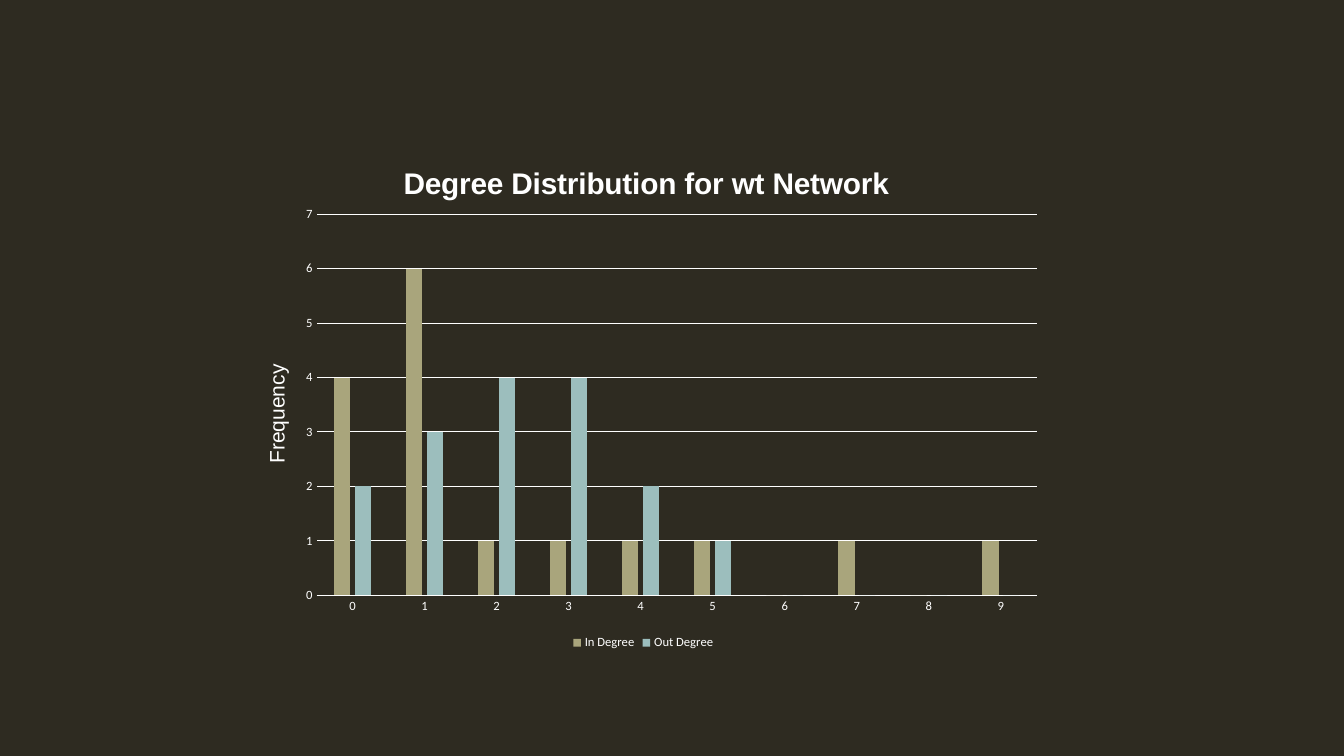
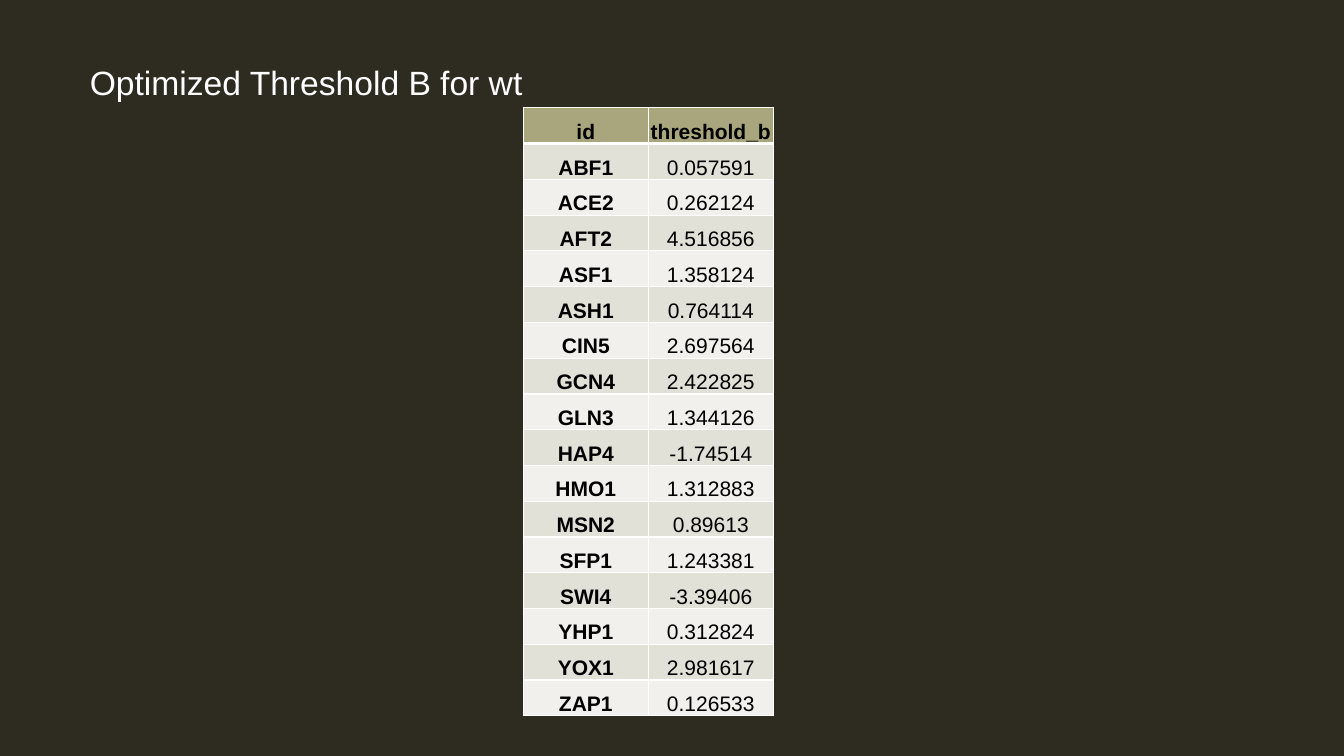
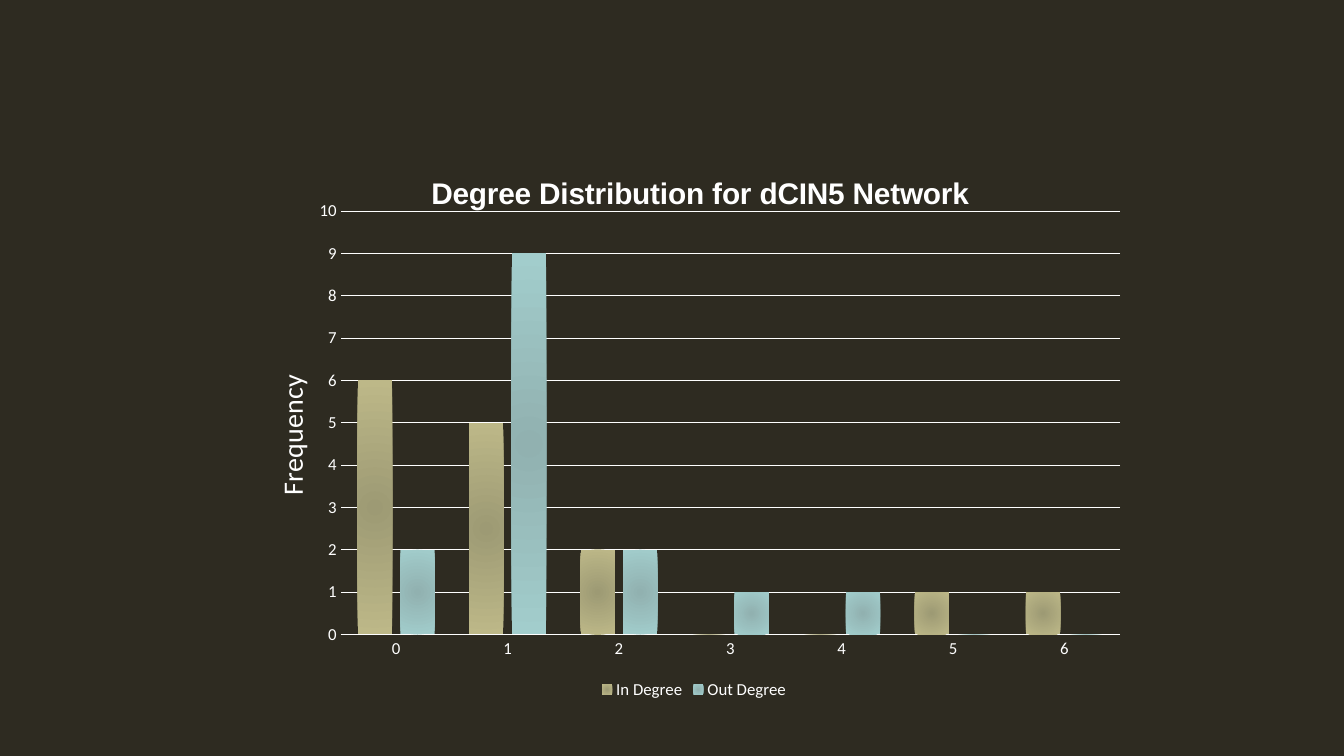
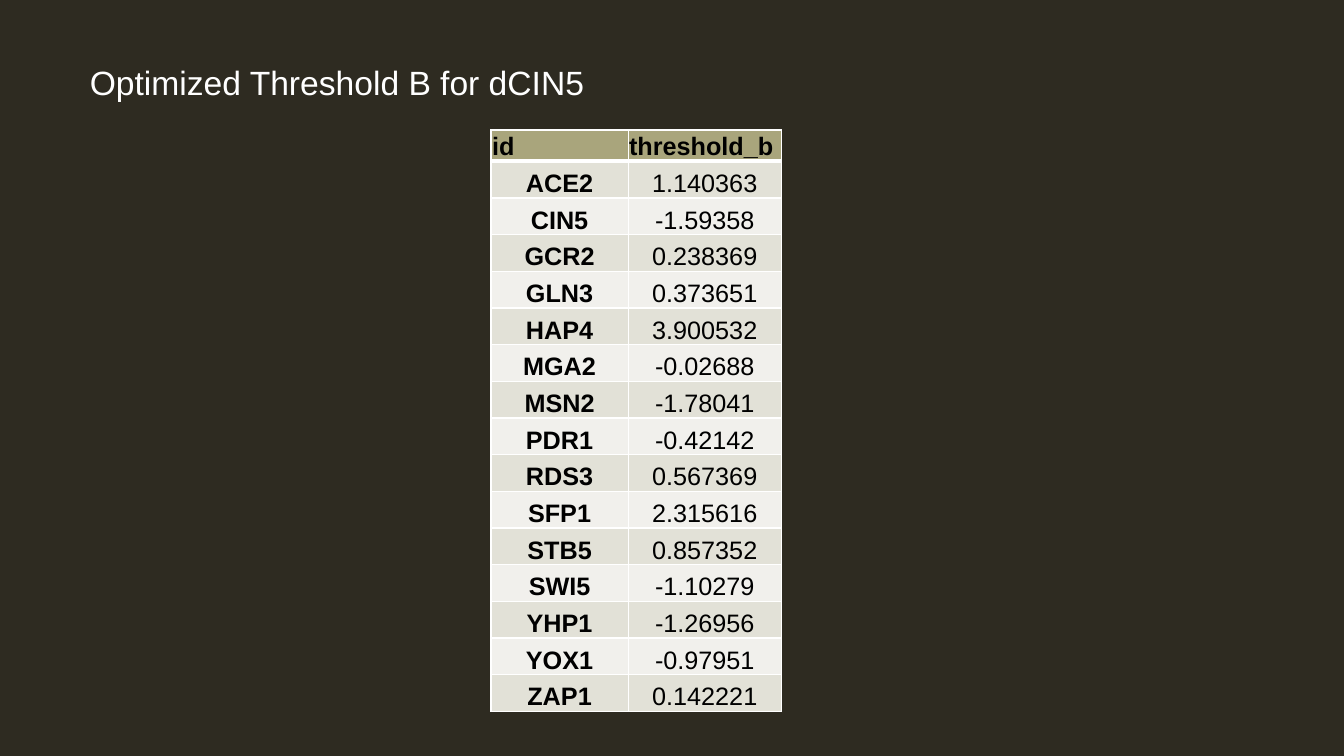
from pptx import Presentation
from pptx import util as u
from pptx.chart.data import CategoryChartData
from pptx.dml.color import RGBColor
from pptx.enum import chart as ch, text
from pptx.oxml import parse_xml
from pptx.oxml.ns import nsdecls, qn

# Shared look
W, H = 13.33, 7.5
DARK, WHITE, BLACK = "2E2B21", "FFFFFF", "000000"
OLIVE, TEAL = "A9A57C", "9CBEBD"
BANDS = ("E2E1D7", "F1F0EC")
TITLE_BOX = (0.79, 0.56, 10.88, 0.5)
CENTER = text.PP_ALIGN.CENTER

# Content: a colour pair runs from the middle of a bar to its edge
SLIDES = [
    dict(chart="Degree Distribution for wt Network", box=(2.33, 1.38, 8.1, 5.11),
         series={"In Degree": (4, 6, 1, 1, 1, 1, 0, 1, 0, 1),
                 "Out Degree": (2, 3, 4, 4, 2, 1, 0, 0, 0, 0)},
         colors=(OLIVE, TEAL), gap=219, overlap=-27, top=7, size=9, line=0.75,
         axis_size=15, axis_font="Arial", title_at=(0.2, 0.04),
         axis_at=(0.03, 0.43), plot=(0.1, 0.146, 0.882, 0.74)),
    dict(title="Optimized Threshold B for wt", at=(5.19, 1.07), cols=(1.24, 1.24),
         header_height=0.355, row_height=0.355, size=15, header_align=CENTER,
         rows=[("ABF1", "0.057591"), ("ACE2", "0.262124"), ("AFT2", "4.516856"),
               ("ASF1", "1.358124"), ("ASH1", "0.764114"), ("CIN5", "2.697564"),
               ("GCN4", "2.422825"), ("GLN3", "1.344126"), ("HAP4", "-1.74514"),
               ("HMO1", "1.312883"), ("MSN2", "0.89613"), ("SFP1", "1.243381"),
               ("SWI4", "-3.39406"), ("YHP1", "0.312824"), ("YOX1", "2.981617"),
               ("ZAP1", "0.126533")]),
    dict(chart="Degree Distribution for dCIN5 Network", box=(1.96, 1.46, 9.85, 5.52),
         series={"In Degree": (6, 5, 2, 0, 0, 1, 1),
                 "Out Degree": (2, 9, 2, 1, 1, 0, 0)},
         colors=(("9D9A74", "BDB888"), ("91B1B0", "A2CDCC")),
         gap=100, overlap=-24, top=10, size=12, line=1,
         axis_size=20, axis_font="Calibri", title_at=(0.23, 0.04),
         axis_at=(0.07, 0.4), plot=(0.144, 0.115, 0.785, 0.761)),
    dict(title="Optimized Threshold B for dCIN5", at=(4.87, 1.29), cols=(1.36, 1.52),
         header_height=0.31, row_height=0.364, size=18, header_align=text.PP_ALIGN.LEFT,
         rows=[("ACE2", "1.140363"), ("CIN5", "-1.59358"), ("GCR2", "0.238369"),
               ("GLN3", "0.373651"), ("HAP4", "3.900532"), ("MGA2", "-0.02688"),
               ("MSN2", "-1.78041"), ("PDR1", "-0.42142"), ("RDS3", "0.567369"),
               ("SFP1", "2.315616"), ("STB5", "0.857352"), ("SWI5", "-1.10279"),
               ("YHP1", "-1.26956"), ("YOX1", "-0.97951"), ("ZAP1", "0.142221")]),
]
HEADER = ("id", "threshold_b")


# Helpers
def rgb(code):
    return RGBColor.from_string(code)


def inches(values):
    return [u.Inches(v) for v in values]


def style(font, size, color=WHITE, name="Calibri", bold=False):
    font.size, font.name, font.bold = u.Pt(size), name, bold
    font.color.rgb = rgb(color)


def write(tf, words, align=text.PP_ALIGN.LEFT, **look):
    p = tf.paragraphs[0]
    p.alignment = align
    r = p.add_run()
    r.text = words
    style(r.font, **look)


def stroke(line, width):
    line.color.rgb = rgb(WHITE)
    line.width = u.Pt(width)


def place(el, values):
    """Set a chart part's left, top (and width, height) as shares of the chart."""
    layout = el.find(qn("c:layout"))
    if layout is None:
        layout = parse_xml(f"<c:layout {nsdecls('c')}/>")
        el.insert(0, layout)
    inner = '<c:layoutTarget val="inner"/>' if len(values) == 4 else ""
    modes = "".join(f'<c:{k}Mode val="edge"/>' for k in "xy")
    shares = "".join(f'<c:{k} val="{v}"/>' for k, v in zip("xywh", values))
    layout.append(parse_xml(
        f"<c:manualLayout {nsdecls('c')}>{inner}{modes}{shares}</c:manualLayout>"))


def radial_fill(fmt, colors):
    fmt.fill.background()
    stops = "".join(f'<a:gs pos="{pos}"><a:srgbClr val="{c}"/></a:gs>'
                    for pos, c in zip((0, 100000), colors))
    sides = " ".join(f'{k}="50000"' for k in "ltrb")
    grad = parse_xml(f"<a:gradFill {nsdecls('a')}><a:gsLst>{stops}</a:gsLst>"
                     f'<a:path path="circle"><a:fillToRect {sides}/></a:path></a:gradFill>')
    sp_pr = fmt._element if hasattr(fmt, "_element") else None
    if sp_pr.tag != qn("c:spPr"):
        sp_pr = sp_pr.find(qn("c:spPr"))
    sp_pr.replace(sp_pr.find(qn("a:noFill")), grad)


def borders(cell, bottom):
    tc_pr = cell._tc.get_or_add_tcPr()
    for i, side in enumerate("LRTB"):
        width = u.Pt(bottom if side == "B" else 1)
        tc_pr.insert(i, parse_xml(
            f'<a:ln{side} {nsdecls("a")} w="{width}"><a:solidFill>'
            f'<a:srgbClr val="{WHITE}"/></a:solidFill></a:ln{side}>'))


# Slide kinds
def chart_slide(s, d):
    data = CategoryChartData()
    data.categories = [str(i) for i in range(len(d["series"]["In Degree"]))]
    for name, values in d["series"].items():
        data.add_series(name, values)
    chart = s.shapes.add_chart(ch.XL_CHART_TYPE.COLUMN_CLUSTERED,
                               *inches(d["box"]), data).chart
    style(chart.font, 10)

    # Titles and plot area
    chart.has_title = True
    write(chart.chart_title.text_frame, d["chart"], CENTER,
          size=21.3, name="Arial", bold=True)
    place(chart.chart_title._element, d["title_at"])
    cat, val = chart.category_axis, chart.value_axis
    tf = val.axis_title.text_frame
    write(tf, "Frequency", CENTER, size=d["axis_size"], name=d["axis_font"])
    tf._txBody.bodyPr.set("rot", "-5400000")
    tf._txBody.bodyPr.set("vert", "horz")
    place(val.axis_title._element, d["axis_at"])
    place(chart._chartSpace.chart.plotArea, d["plot"])

    # Axes and legend
    for axis in (cat, val):
        axis.major_tick_mark = axis.minor_tick_mark = ch.XL_TICK_MARK.NONE
        style(axis.tick_labels.font, d["size"])
    stroke(cat.format.line, d["line"])
    val.format.line.fill.background()
    val.minimum_scale, val.maximum_scale, val.major_unit = 0, d["top"], 1
    stroke(val.major_gridlines.format.line, 0.75)
    chart.has_legend = True
    chart.legend.position = ch.XL_LEGEND_POSITION.BOTTOM
    chart.legend.include_in_layout = False
    style(chart.legend.font, d["size"])

    # Bars
    plot = chart.plots[0]
    plot.gap_width, plot.overlap, plot.vary_by_categories = d["gap"], d["overlap"], False
    for series, color in zip(plot.series, d["colors"]):
        if isinstance(color, tuple):
            radial_fill(series.format, color)
        else:
            series.format.fill.solid()
            series.format.fill.fore_color.rgb = rgb(color)


def table_slide(s, d):
    write(s.shapes.title.text_frame, d["title"], size=24, name="Arial")
    rows = [HEADER] + d["rows"]
    heights = [d["header_height"]] + [d["row_height"]] * len(d["rows"])
    size = (sum(d["cols"]), sum(heights))
    table = s.shapes.add_table(len(rows), len(HEADER), *inches(d["at"] + size)).table
    for col, width in zip(table.columns, d["cols"]):
        col.width = u.Inches(width)
    for i, (row, height) in enumerate(zip(rows, heights)):
        table.rows[i].height = u.Inches(height)
        for j, words in enumerate(row):
            cell = table.cell(i, j)
            cell.margin_left = cell.margin_right = cell.margin_top = u.Inches(0.01)
            cell.margin_bottom = 0
            cell.vertical_anchor = text.MSO_ANCHOR.BOTTOM
            cell.fill.solid()
            cell.fill.fore_color.rgb = rgb(BANDS[(i - 1) % 2] if i else OLIVE)
            borders(cell, bottom=1 if i else 3)
            write(cell.text_frame, words, CENTER if i else d["header_align"],
                  size=d["size"], color=BLACK, name="Arial", bold=i == 0 or j == 0)


def main():
    prs = Presentation()
    prs.slide_width, prs.slide_height = inches((W, H))

    # Background and title position, set once for all slides
    fill = prs.slide_master.background.fill
    fill.solid()
    fill.fore_color.rgb = rgb(DARK)
    title_only, blank = prs.slide_layouts[5], prs.slide_layouts[6]
    sp = title_only.placeholders[0]
    sp.left, sp.top, sp.width, sp.height = inches(TITLE_BOX)
    sp.text_frame.auto_size = text.MSO_AUTO_SIZE.NONE
    sp.text_frame.vertical_anchor = text.MSO_ANCHOR.MIDDLE

    for d in SLIDES:
        if "chart" in d:
            chart_slide(prs.slides.add_slide(blank), d)
        else:
            table_slide(prs.slides.add_slide(title_only), d)
    prs.save("out.pptx")


if __name__ == "__main__":
    main()
